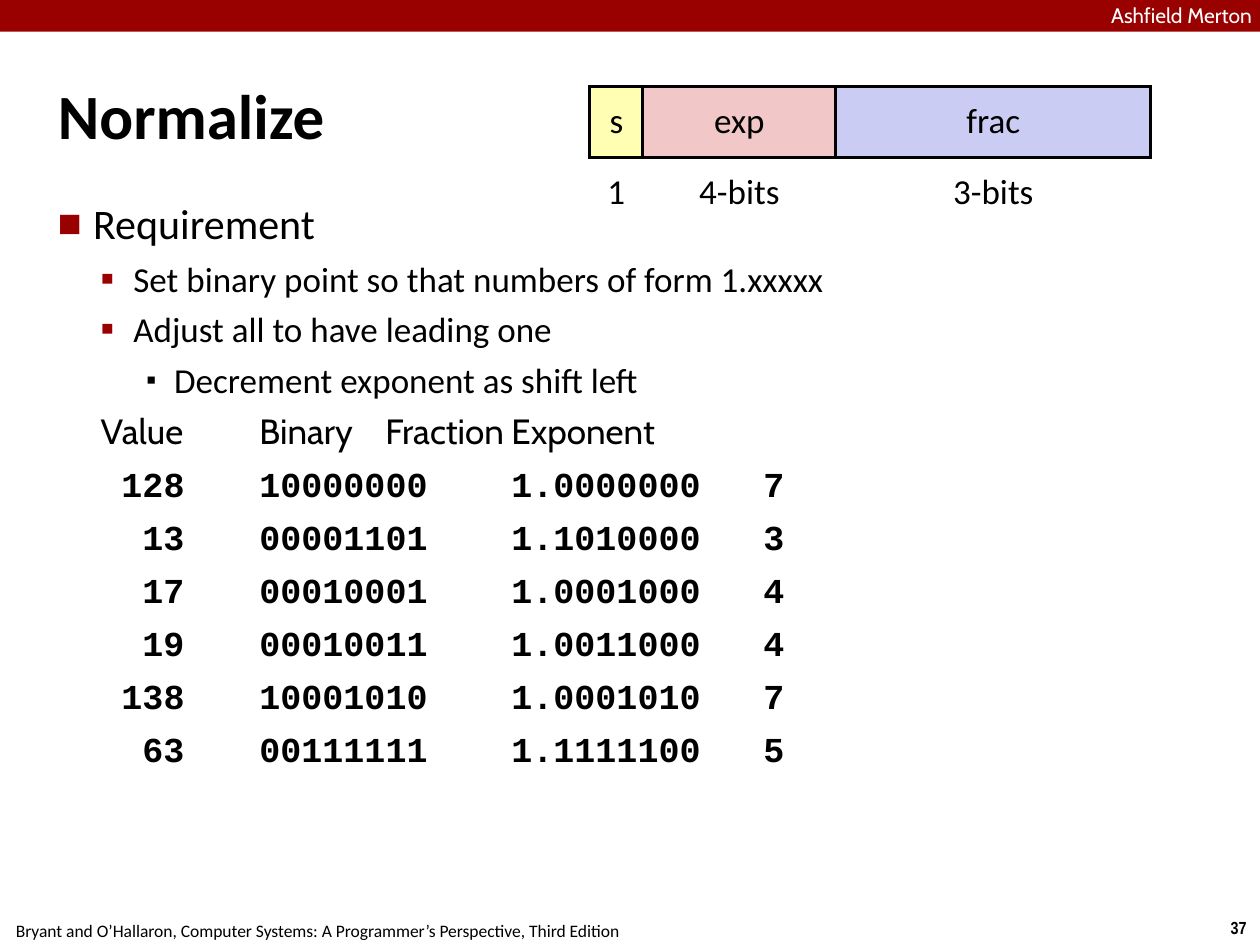
from dataclasses import dataclass
from typing import Any, Optional

from lxml import etree
from pptx import Presentation
from pptx.dml.color import RGBColor
from pptx.enum.shapes import MSO_SHAPE
from pptx.enum.text import MSO_ANCHOR, PP_ALIGN
from pptx.oxml.ns import qn
from pptx.util import Cm, Pt

LEFT, CENTER = PP_ALIGN.LEFT, PP_ALIGN.CENTER
TOP, MIDDLE = MSO_ANCHOR.TOP, MSO_ANCHOR.MIDDLE
RECTANGLE = MSO_SHAPE.RECTANGLE
BLACK, WHITE, RED = "000000", "FFFFFF", "990000"
TAB_STEP = Cm(2.54)
MONO_CHARACTER = 0.42
VALUE_COLUMN = 4
ROW_INDENT, ROW_HANGING = 1.52, -0.66


@dataclass
class Bullet:
    """Marker of an outline level."""
    mark: str
    percent: int
    color: str


@dataclass
class Line:
    """One paragraph of the body."""
    text: str
    indent: float = ROW_INDENT
    hanging: float = ROW_HANGING
    size: int = 20
    font: str = "Calibri"
    bold: bool = False
    before: float = 5
    bullet: Optional[Bullet] = None


@dataclass
class Field:
    """One part of the number format."""
    name: str
    bits: str
    width: float
    color: str


@dataclass
class Number:
    """One normalized value."""
    value: int
    binary: str
    fraction: str
    exponent: int


SQUARE = Bullet("■", 60, RED)
SMALL_RED = Bullet("▪", 110, RED)
SMALL_BLACK = Bullet("▪", 80, BLACK)

OUTLINE = [
    Line("Requirement", 0.71, -0.71, 24, before=6, bullet=SQUARE),
    Line("Set binary point so that numbers of form 1.xxxxx", bullet=SMALL_RED),
    Line("Adjust all to have leading one", bullet=SMALL_RED),
    Line("Decrement exponent as shift left", 2.34, -0.56, bullet=SMALL_BLACK),
    Line("Value\tBinary\tFraction\tExponent", font="Cabin"),
]
NUMBERS = [
    Number(128, "10000000", "1.0000000", 7),
    Number(13, "00001101", "1.1010000", 3),
    Number(17, "00010001", "1.0001000", 4),
    Number(19, "00010011", "1.0011000", 4),
    Number(138, "10001010", "1.0001010", 7),
    Number(63, "00111111", "1.1111100", 5),
]
FIELDS = [
    Field("s", "1", 1.07, "FFFEB2"),
    Field("exp", "4-bits", 3.89, "F1C7C7"),
    Field("frac", "3-bits", 6.35, "CBCCF3"),
]


def rgb(color: str) -> RGBColor:
    """Turn a hex string into a colour."""
    return RGBColor.from_string(color)


def write(para: Any, text: str, *, size: int = 20, font: str = "Calibri",
          color: str = BLACK, bold: bool = False, align: Any = LEFT) -> None:
    """Add formatted text to a paragraph."""
    para.alignment = align
    span = para.add_run()
    span.text = text
    span.font.size = Pt(size)
    span.font.name = font
    span.font.bold = bold
    span.font.color.rgb = rgb(color)


def add_frame(page: Any, left: float, top: float, width: float, height: float, *,
              inset: tuple[float, float] = (0.1, 0.1), wrap: bool = True,
              anchor: Any = TOP) -> Any:
    """Add a text box and return its text frame."""
    box = page.shapes.add_textbox(Cm(left), Cm(top), Cm(width), Cm(height))
    frame = box.text_frame
    frame.word_wrap = wrap
    frame.vertical_anchor = anchor
    frame.margin_left = frame.margin_right = Cm(inset[0])
    frame.margin_top = frame.margin_bottom = Cm(inset[1])
    return frame


def add_bullet(properties: Any, bullet: Bullet) -> None:
    """Give a paragraph its marker."""
    color = etree.SubElement(properties, qn("a:buClr"))
    etree.SubElement(color, qn("a:srgbClr"), val=bullet.color)
    etree.SubElement(properties, qn("a:buSzPct"), val=str(bullet.percent * 1000))
    etree.SubElement(properties, qn("a:buFont"), typeface="Calibri")
    etree.SubElement(properties, qn("a:buChar"), char=bullet.mark)


def add_line(para: Any, line: Line) -> None:
    """Fill a body paragraph."""
    para.space_before = Pt(line.before)
    write(para, line.text, size=line.size, font=line.font, bold=line.bold)
    properties = para._p.get_or_add_pPr()
    properties.set("marL", str(Cm(line.indent)))
    properties.set("indent", str(Cm(line.hanging)))
    properties.set("defTabSz", str(TAB_STEP))
    if line.bullet:
        add_bullet(properties, line.bullet)
    else:
        etree.SubElement(properties, qn("a:buNone"))


def number_line(number: Number) -> Line:
    """Lay out a value so that its digits end in one column."""
    padding = VALUE_COLUMN - len(str(number.value))
    text = f"{number.value}\t{number.binary}\t{number.fraction}\t{number.exponent}"
    return Line(text, hanging=ROW_HANGING + padding * MONO_CHARACTER,
                font="Courier New", bold=True, before=6.3)


def set_borders(cell: Any, drawn: str) -> None:
    """Draw the named sides of a cell and clear the others."""
    properties = cell._tc.get_or_add_tcPr()
    for side in "LRTB":
        border = etree.SubElement(properties, qn(f"a:ln{side}"), w=str(Pt(2)))
        if side in drawn:
            fill = etree.SubElement(border, qn("a:solidFill"))
            etree.SubElement(fill, qn("a:srgbClr"), val=BLACK)
        else:
            etree.SubElement(border, qn("a:noFill"))


def fill_cell(cell: Any, text: str, borders: str, color: Optional[str] = None) -> None:
    """Format one table cell."""
    set_borders(cell, borders)
    if color:
        cell.fill.solid()
        cell.fill.fore_color.rgb = rgb(color)
    else:
        cell.fill.background()
    cell.vertical_anchor = MIDDLE
    cell.margin_left = cell.margin_right = Cm(0.15)
    cell.margin_top = cell.margin_bottom = Cm(0.15)
    write(cell.text_frame.paragraphs[0], text, align=CENTER)


def add_format_table(page: Any) -> None:
    """Add the table of number fields and their widths."""
    width = sum(field.width for field in FIELDS)
    table = page.shapes.add_table(2, len(FIELDS), Cm(11.89), Cm(1.75),
                                  Cm(width), Cm(2.84)).table
    table.first_row = table.horz_banding = False
    for index, field in enumerate(FIELDS):
        table.columns[index].width = Cm(field.width)
        fill_cell(table.cell(0, index), field.name, "LRTB", field.color)
        fill_cell(table.cell(1, index), field.bits, "T")


def build() -> None:
    """Build the slide and save the deck."""
    deck = Presentation()
    deck.slide_width, deck.slide_height = Cm(25.4), Cm(19.05)
    page = deck.slides.add_slide(deck.slide_layouts[6])
    number = add_frame(page, 24.54, 18.36, 0.86, 0.69, inset=(0.25, 0.13), wrap=False)
    write(number.paragraphs[0], "37", size=10, font="Arial Narrow", bold=True, align=CENTER)
    footer = add_frame(page, -0.05, 18.42, 12.9, 0.69, inset=(0.25, 0.13), wrap=False)
    write(footer.paragraphs[0], "Bryant and O’Hallaron, Computer Systems: "
          "A Programmer’s Perspective, Third Edition", size=10, align=CENTER)
    bar = page.shapes.add_shape(RECTANGLE, 0, 0, deck.slide_width, Cm(0.64))
    bar.shadow.inherit = False
    bar.fill.solid()
    bar.fill.fore_color.rgb = rgb(RED)
    bar.line.fill.background()
    school = add_frame(page, 22.4, 0.05, 3, 0.48, inset=(0, 0), wrap=False)
    write(school.paragraphs[0], "Ashfield Merton", size=12, font="Cabin", color=WHITE)
    title = add_frame(page, 1.07, 0.71, 23.29, 3.18, anchor=MIDDLE)
    write(title.paragraphs[0], "Normalize", size=36, bold=True)
    body = add_frame(page, 1.07, 3.89, 23.29, 15.09)
    for index, line in enumerate(OUTLINE + [number_line(item) for item in NUMBERS]):
        add_line(body.add_paragraph() if index else body.paragraphs[0], line)
    add_format_table(page)
    deck.save("out.pptx")


build()
